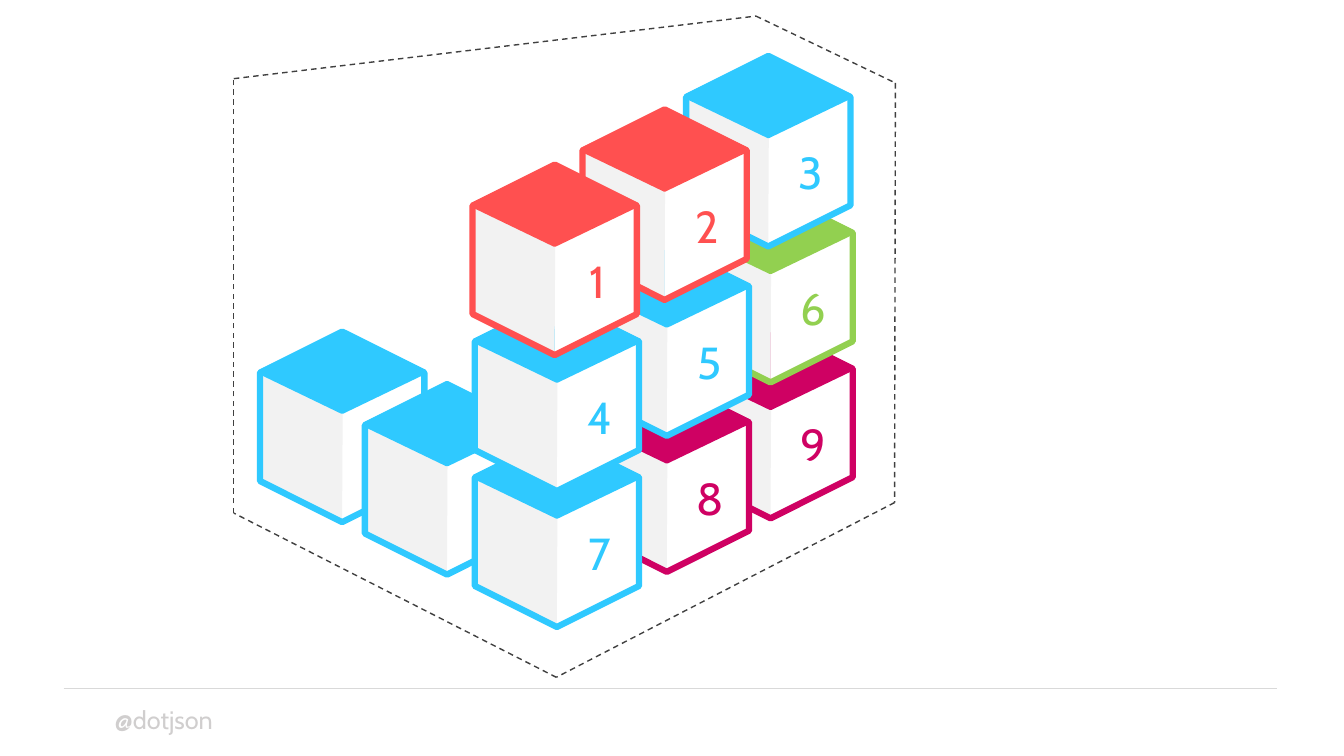
from itertools import pairwise

from lxml import etree
from pptx import Presentation
from pptx import util as u
from pptx.dml.color import RGBColor
from pptx.enum import dml, shapes, text
from pptx.oxml.ns import qn

BLUE, RED, GREEN, PINK = "2FC9FF", "FF5050", "92D050", "CF0163"

SIDE_CUBES = [(244.4, 304.9), (319.3, 342.4)]
FRONT_CUBES = [(397.8, 379.8), (476.3, 340.4), (550.4, 302.2)]  # centres, bottom row
ROW_COLORS = [(RED, RED, BLUE), (BLUE, BLUE, GREEN), (BLUE, PINK, PINK)]
ROW_STEP = 97.1
TOP_ROW_SHIFT = -1.6
DIGIT_OFFSET = (30.6, 14.8)
ROOM_CORNERS = [(167, 56.2), (540, 11.5), (639.6, 59.3),
                (639, 359), (397.4, 483.8), (167, 366.5)]


def rgb(hex_color):
    return RGBColor.from_string(hex_color)


class CubeSlide:
    font = "Cabin"

    def __init__(self, slide):
        self.canvas = slide.shapes

    def line(self, start, end, color, dash=None):
        connector = self.canvas.add_connector(
            shapes.MSO_CONNECTOR.STRAIGHT, *map(u.Pt, (*start, *end)))
        connector.line.color.rgb = rgb(color)
        connector.line.width = u.Pt(1)
        if dash:
            connector.line.dash_style = dash
        etree.SubElement(connector._element.spPr, qn("a:effectLst"))

    def label(self, words, left, top, width, height, size, color):
        box = self.canvas.add_textbox(*map(u.Pt, (left, top, width, height)))
        frame = box.text_frame
        frame.text = words
        frame.word_wrap = True
        font = frame.paragraphs[0].runs[0].font
        font.name, font.size = self.font, u.Pt(size)
        font.color.rgb = rgb(color)
        return frame

    def digit(self, number, center, color):
        width, height = 73.4, 66.2
        x, y = (c + d for c, d in zip(center, DIGIT_OFFSET))
        frame = self.label(str(number), x - width / 2, y - height / 2,
                           width, height, 32, color)
        frame.vertical_anchor = text.MSO_ANCHOR.MIDDLE
        frame.paragraphs[0].alignment = text.PP_ALIGN.CENTER

    def face(self, group, center, side, color):
        """Draw the right (side 1) or left (side -1) face of a cube."""
        x, y = center
        corners = [(u.Pt(x + side * dx), u.Pt(y + dy)) for dx, dy in
                   [(0, 68), (-0.4, -10.4), (57.4, -36.8), (58, 38.5)]]
        builder = group.shapes.build_freeform(*corners[0], scale=1.0)
        builder.add_line_segments(corners[1:], close=True)
        face = builder.convert_to_shape()
        face.shadow.inherit = False
        face.fill.solid()
        face.fill.fore_color.rgb = rgb(color)
        face.line.fill.background()

    def hexagon(self, group, center, length, breadth, color, weight):
        """Draw a hexagon with its points up and down."""
        x, y = center
        hexagon = group.shapes.add_shape(
            shapes.MSO_SHAPE.HEXAGON,
            *map(u.Pt, (x - length / 2, y - breadth / 2, length, breadth)))
        hexagon.rotation = 90
        hexagon.shadow.inherit = False
        hexagon.fill.background()
        hexagon.line.color.rgb = rgb(color)
        hexagon.line.width = u.Pt(weight)
        return hexagon

    def cube(self, center, color):
        group = self.canvas.add_group_shape()
        self.face(group, center, 1, "FFFFFF")
        self.face(group, center, -1, "F2F2F2")
        self.hexagon(group, center, 136.1, 117.4, color, 4.5)
        x, y = center
        lid = self.hexagon(group, (x, y - 39.2), 56.9, 118.1, color, 3)
        lid.adjustments[0] = 0.5
        lid.fill.solid()
        lid.fill.fore_color.rgb = rgb(color)


def cell_center(row, column):
    x, y = FRONT_CUBES[column]
    return x + (TOP_ROW_SHIFT if row == 0 else 0), y - (2 - row) * ROW_STEP


def main():
    deck = Presentation()
    deck.slide_width, deck.slide_height = u.Pt(960), u.Pt(540)
    page = CubeSlide(deck.slides.add_slide(deck.slide_layouts[6]))

    page.line((45.4, 491.8), (912.2, 491.8), "D9D9D9")
    handle = page.label("@dotjson", 74.9, 499.7, 153.4, 29, 18, "D0CECE")
    handle.auto_size = text.MSO_AUTO_SIZE.SHAPE_TO_FIT_TEXT

    for center in SIDE_CUBES:
        page.cube(center, BLUE)
    # Lower rows go back to front, the top row covers them all
    lower_cells = [(row, column) for column in (2, 1, 0) for row in (2, 1)]
    top_cells = [(0, column) for column in (2, 1, 0)]
    for row, column in lower_cells + top_cells:
        page.cube(cell_center(row, column), ROW_COLORS[row][column])

    for start, end in pairwise(ROOM_CORNERS + ROOM_CORNERS[:1]):
        page.line(start, end, "404040", dml.MSO_LINE.DASH)

    for index in range(9):
        row, column = divmod(index, 3)
        page.digit(index + 1, cell_center(row, column), ROW_COLORS[row][column])

    deck.save("out.pptx")


if __name__ == "__main__":
    main()
